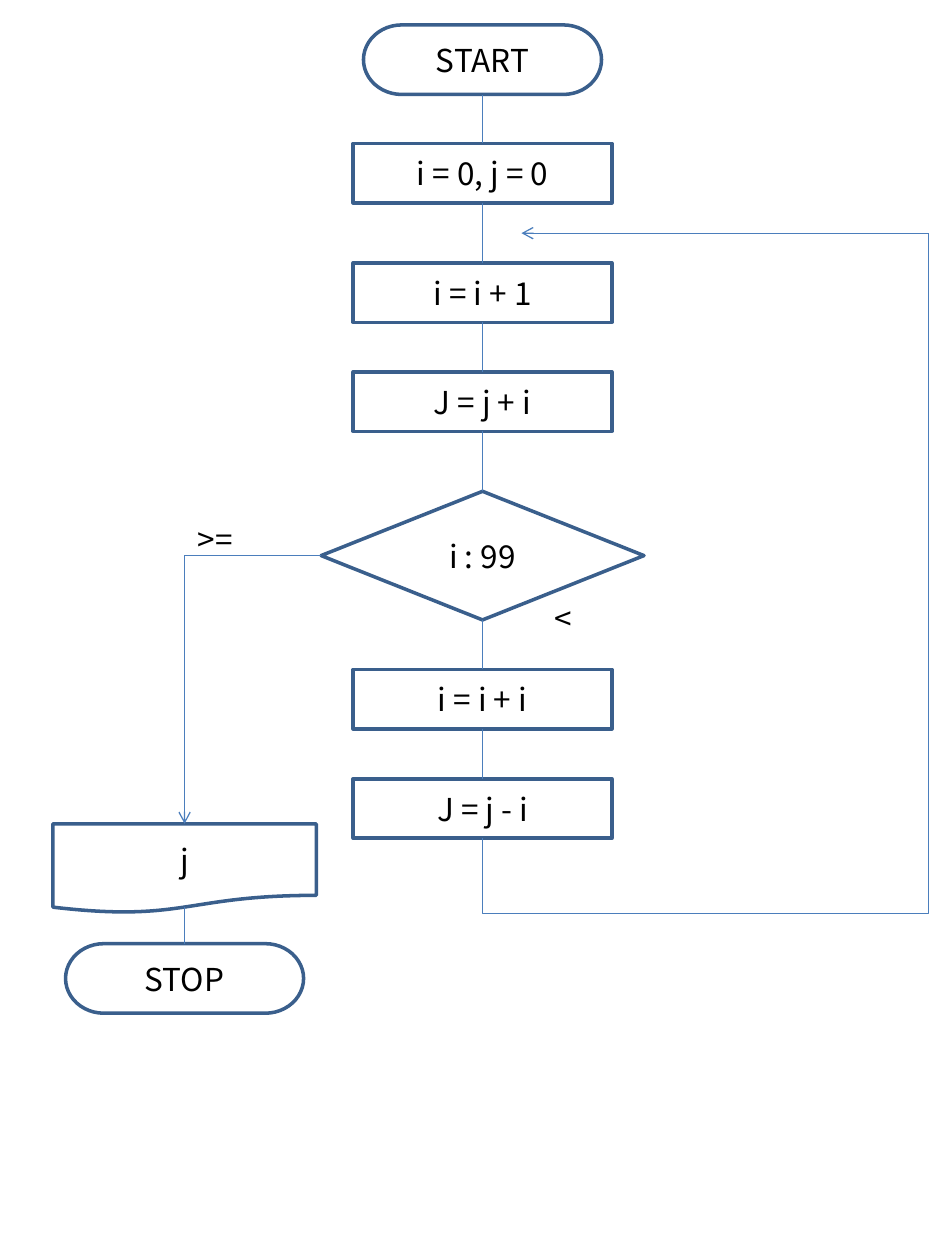
"""Build a one-page flowchart of a counting loop."""
from itertools import pairwise
from math import cos, radians, sin

from lxml import etree
from pptx import Presentation
from pptx import util as u
from pptx.dml.color import RGBColor
from pptx.enum import shapes, text
from pptx.oxml.ns import qn

FONT = "Noto Sans CJK KR"
BLACK = RGBColor(0x00, 0x00, 0x00)
OUTLINE = RGBColor(0x3A, 0x5F, 0x8C)
FLOW = RGBColor(0x4B, 0x7E, 0xBC)

KINDS = {
    "terminator": (shapes.MSO_SHAPE.FLOWCHART_TERMINATOR, 136, 39.75),
    "process": (shapes.MSO_SHAPE.FLOWCHART_PROCESS, 147.75, 34),
    "decision": (shapes.MSO_SHAPE.FLOWCHART_DECISION, 184.5, 73.5),
    "document": (shapes.MSO_SHAPE.FLOWCHART_DOCUMENT, 150.5, 51),
}
MAIN_X, EXIT_X, LOOP_X = 275.75, 105.5, 530.75
LOOP_TOP, LOOP_BOTTOM, LOOP_END = 133.25, 521.5, 298
DOCUMENT_CURVE = 3.25

MAIN_STEPS = [
    ("terminator", "START", 14.25),
    ("process", "i = 0, j = 0", 82),
    ("process", "i = i + 1", 150.25),
    ("process", "J = j + i", 212.5),
    ("decision", "i : 99", 280.75),
    ("process", "i = i + i", 382.5),
    ("process", "J = j - i", 445),
]
EXIT_STEPS = [("document", "j", 470.75), ("terminator", "STOP", 539.25)]
BRANCH_LABELS = [("<", 309.75, 339, 27.5), (">=", 106, 293.5, 40.25)]


def write(frame, words):
    para = frame.paragraphs[0]
    span = para.add_run()
    span.text = words
    span.font.name = FONT
    span.font.size = u.Pt(18)
    span.font.color.rgb = BLACK
    return para


def add_step(page, center, kind, words, top):
    preset, width, height = KINDS[kind]
    box = page.shapes.add_shape(
        preset, u.Pt(center - width / 2), u.Pt(top), u.Pt(width), u.Pt(height))
    box.shadow.inherit = False
    box.fill.background()
    box.line.color.rgb = OUTLINE
    box.line.width = u.Pt(2)
    box.text_frame.vertical_anchor = text.MSO_ANCHOR.MIDDLE
    write(box.text_frame, words).alignment = text.PP_ALIGN.CENTER


def add_label(page, words, left, top, width):
    box = page.shapes.add_textbox(u.Pt(left), u.Pt(top), u.Pt(width), u.Pt(29))
    box.text_frame.word_wrap = False
    box.text_frame.auto_size = text.MSO_AUTO_SIZE.SHAPE_TO_FIT_TEXT
    write(box.text_frame, words)


def add_line(page, start, end, arrow=False, kind=shapes.MSO_CONNECTOR.STRAIGHT):
    line = page.shapes.add_connector(kind, *(u.Pt(value) for value in (*start, *end)))
    line.line.color.rgb = FLOW
    line.line.width = u.Pt(0.75)
    properties = line._element.spPr
    if arrow:
        etree.SubElement(properties.find(qn("a:ln")), qn("a:tailEnd"), type="arrow")
    etree.SubElement(properties, qn("a:effectLst"))
    return line


def add_elbow(page, start, end, preset, turn, arrow=False, adjust=None):
    middle = [(a + b) / 2 for a, b in zip(start, end)]
    c, s = cos(radians(turn)), sin(radians(turn))

    def unturn(point):
        x, y = point[0] - middle[0], point[1] - middle[1]
        return middle[0] + x * c + y * s, middle[1] - x * s + y * c

    line = add_line(page, unturn(start), unturn(end), arrow, shapes.MSO_CONNECTOR.ELBOW)
    properties = line._element.spPr
    properties.find(qn("a:xfrm")).set("rot", str(turn * 60000))
    geometry = properties.find(qn("a:prstGeom"))
    geometry.set("prst", preset)
    if adjust is not None:
        guides = geometry.find(qn("a:avLst"))
        etree.SubElement(guides, qn("a:gd"), name="adj1", fmla=f"val {adjust}")


def add_column(page, center, steps):
    for step in steps:
        add_step(page, center, *step)
    for (kind, _, top), (_, _, next_top) in pairwise(steps):
        bottom = top + KINDS[kind][2]
        if kind == "document":
            bottom -= DOCUMENT_CURVE
        add_line(page, (center, bottom), (center, next_top))


def main():
    deck = Presentation()
    deck.slide_width, deck.slide_height = u.Pt(540), u.Pt(720)
    page = deck.slides.add_slide(deck.slide_layouts[6])

    add_column(page, MAIN_X, MAIN_STEPS)
    add_column(page, EXIT_X, EXIT_STEPS)
    for label in BRANCH_LABELS:
        add_label(page, *label)

    last_kind, _, last_top = MAIN_STEPS[-1]
    add_line(page, (MAIN_X, last_top + KINDS[last_kind][2]), (MAIN_X, LOOP_BOTTOM))
    add_elbow(page, (MAIN_X, LOOP_BOTTOM), (LOOP_X, LOOP_TOP),
              "bentConnector3", 90, adjust=-100)
    add_line(page, (LOOP_X, LOOP_TOP), (LOOP_END, LOOP_TOP), arrow=True)

    _, width, height = KINDS["decision"]
    decision_top = next(top for kind, _, top in MAIN_STEPS if kind == "decision")
    add_elbow(page, (MAIN_X - width / 2, decision_top + height / 2),
              (EXIT_X, EXIT_STEPS[0][2]), "bentConnector2", 180, arrow=True)

    deck.save("out.pptx")


if __name__ == "__main__":
    main()
